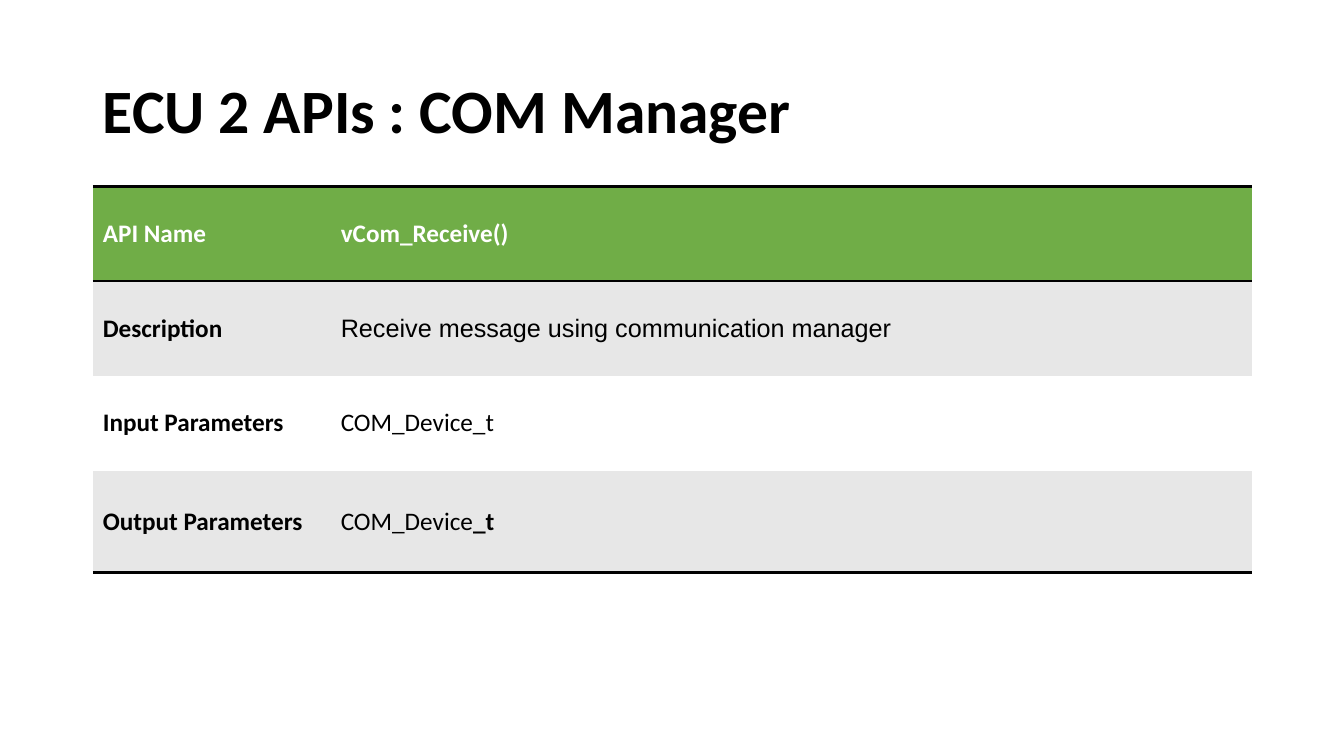
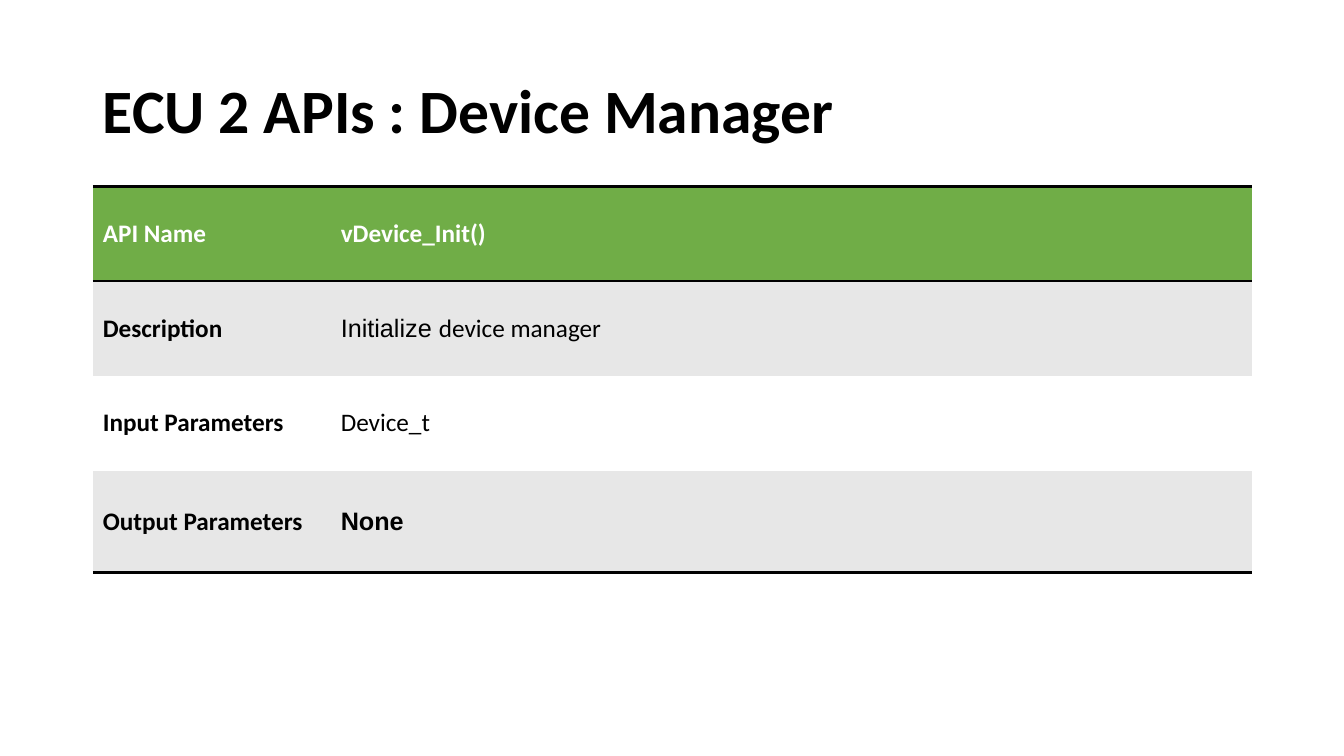
from lxml import etree
from pptx import Presentation
from pptx import util as u
from pptx.dml.color import RGBColor
from pptx.enum import text
from pptx.oxml import ns


def rgb(value):
    return RGBColor.from_string(value)


class Deck:
    BLACK, WHITE, GREEN, GREY = "000000", "FFFFFF", "70AD47", "E7E7E7"
    FONT, ALT_FONT = "Calibri", "Arial"
    LEFT, WIDTH = u.Inches(0.92), u.Inches(11.5)
    COLS = (2.36, 9.14)
    ROWS = (0.94, 0.94, 0.94, 1.01)
    LABELS = ("API Name", "Description", "Input Parameters", "Output Parameters")

    def __init__(self):
        self.prs = Presentation()
        self.prs.slide_width = u.Inches(13.33)
        self.prs.slide_height = u.Inches(7.5)
        self.s = None

    def style(self, r, size, color, bold, font=FONT):
        r.font.name = font
        r.font.size = u.Pt(size)
        r.font.bold = bold
        r.font.color.rgb = rgb(color)

    def slide(self, title):
        self.s = self.prs.slides.add_slide(self.prs.slide_layouts[5])
        sp = self.s.shapes.title
        sp.left, sp.top = self.LEFT, u.Inches(0.4)
        sp.width, sp.height = self.WIDTH, u.Inches(1.45)
        tf = sp.text_frame
        tf.text = title
        tf.word_wrap = True
        tf.auto_size = text.MSO_AUTO_SIZE.NONE
        tf.vertical_anchor = text.MSO_ANCHOR.MIDDLE
        p = tf.paragraphs[0]
        p.alignment = text.PP_ALIGN.LEFT
        p.line_spacing = 0.9
        self.style(p.runs[0], 44, self.BLACK, True)

    def borders(self, cell, ruled):
        tc_pr = cell._tc.get_or_add_tcPr()
        for side in "LRTB":
            ln = etree.SubElement(tc_pr, ns.qn(f"a:ln{side}"))
            if side in ruled:
                ln.set("w", str(u.Pt(2)))
                fill = etree.SubElement(ln, ns.qn("a:solidFill"))
                etree.SubElement(fill, ns.qn("a:srgbClr"), val=self.BLACK)
            else:
                ln.set("w", "0")
                etree.SubElement(ln, ns.qn("a:noFill"))

    def cell(self, cell, row, runs):
        last = len(self.ROWS) - 1
        ruled = ("T" if row < 2 else "") + ("B" if row in (0, last) else "")
        self.borders(cell, ruled)
        cell.fill.solid()
        stripe = self.GREY if row % 2 else self.WHITE
        cell.fill.fore_color.rgb = rgb(stripe if row else self.GREEN)
        cell.vertical_anchor = text.MSO_ANCHOR.MIDDLE
        p = cell.text_frame.paragraphs[0]
        for words, bold, font in runs:
            r = p.add_run()
            r.text = words
            self.style(r, 18, self.BLACK if row else self.WHITE, bold, font)

    def api_table(self, values):
        frame = self.s.shapes.add_table(
            len(self.ROWS), len(self.COLS), self.LEFT, u.Inches(1.85),
            self.WIDTH, u.Inches(sum(self.ROWS)))
        table = frame.table
        for column, width in zip(table.columns, self.COLS):
            column.width = u.Inches(width)
        for row, height in zip(table.rows, self.ROWS):
            row.height = u.Inches(height)
        for i, (label, runs) in enumerate(zip(self.LABELS, values)):
            self.cell(table.cell(i, 0), i, [(label, True, self.FONT)])
            self.cell(table.cell(i, 1), i, runs)


def main():
    deck = Deck()
    font, alt = deck.FONT, deck.ALT_FONT

    deck.slide("ECU 2 APIs : COM Manager")
    deck.api_table([
        [("vCom_Receive()", True, font)],
        [("Receive message using communication manager", False, alt)],
        [("COM_Device_t", False, font)],
        [("COM_Device", False, font), ("_t", True, font)],
    ])

    deck.slide("ECU 2 APIs : Device Manager")
    deck.api_table([
        [("vDevice_Init()", True, font)],
        [("Initialize ", False, alt), ("device manager", False, font)],
        [("Device_t", False, font)],
        [("None", True, alt)],
    ])

    deck.prs.save("out.pptx")


if __name__ == "__main__":
    main()
